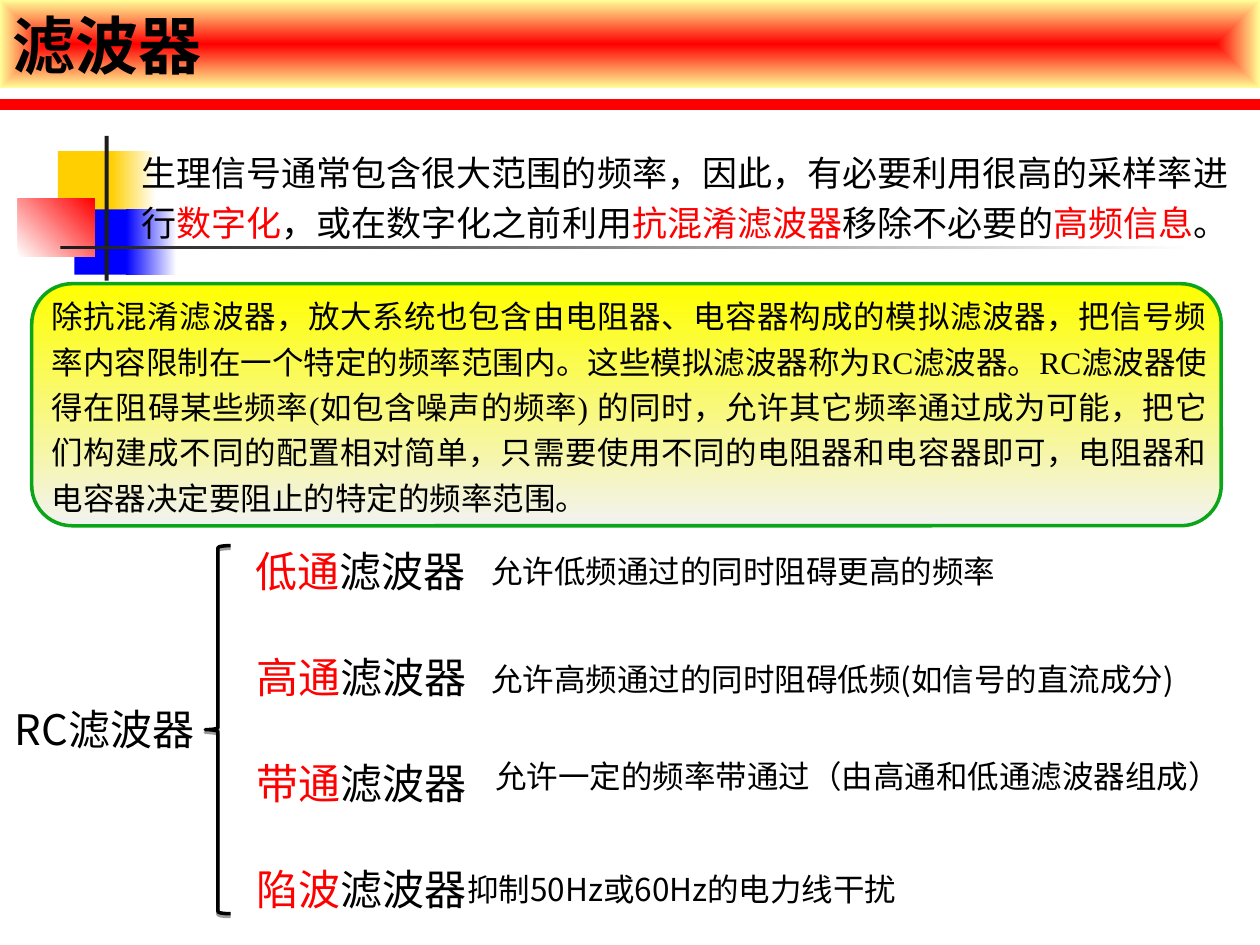
from lxml import etree
from pptx import Presentation
from pptx import util as u
from pptx.dml.color import RGBColor
from pptx.enum import shapes, text
from pptx.oxml import parse_xml
from pptx.oxml.ns import nsdecls, qn

THEME = {
    "black": "000000", "red": "FF0000", "white": "FFFFFF", "gold": "FFCF01",
    "blue": "0000FF", "ink": "1C1C1C", "green": "0BA51A", "yellow": "FFFF00",
    "gray": "F2F2F2", "cream": "FFFF99",
    "sans": "Noto Sans CJK SC", "serif": "Times New Roman",
    "title": 36, "name": 24, "intro": 20, "body": 18,
}
WIDTH, HEIGHT = 25.4, 19.05

ORNAMENTS = [
    ((1.17, 3.05, 1.22, 1.32), ["gold"], 0),
    ((2.24, 3.05, 0.91, 1.32), ["gold", "white"], 0),
    ((1.5, 4.22, 1.17, 1.32), ["blue"], 0),
    ((2.54, 4.22, 1.02, 1.32), ["blue", "white"], 0),
    ((0.36, 4.01, 1.55, 1.17), ["white", "red"], 315),
    ((2.11, 2.74, 0.08, 2.92), ["ink"], 0),
    ((1.22, 4.95, 22.86, 0.08), ["ink", "white"], 0),
]
TITLE = [("滤波器", "black")]
INTRO = [
    ("生理信号通常包含很大范围的频率，因此，有必要利用很高的采样率进行", "black"),
    ("数字化", "red"), ("，或在数字化之前利用", "black"),
    ("抗混淆滤波器", "red"), ("移除不必要的", "black"),
    ("高频信息", "red"), ("。", "black"),
]
BODY = [(
    "除抗混淆滤波器，放大系统也包含由电阻器、电容器构成的模拟滤波器，把信号频率内容限制在一个特定的频率范围内。"
    "这些模拟滤波器称为RC滤波器。RC滤波器使得在阻碍某些频率(如包含噪声的频率) 的同时，允许其它频率通过成为可能，"
    "把它们构建成不同的配置相对简单，只需要使用不同的电阻器和电容器即可，电阻器和电容器决定要阻止的特定的频率范围。",
    "black")]
ROOT = [("RC滤波器", "black")]
FILTERS = [
    ("低通", 4.9, "允许低频通过的同时阻碍更高的频率", (9.65, 11, 12.7, 1.02)),
    ("高通", 4.93, "允许高频通过的同时阻碍低频(如信号的直流成分)", (9.65, 13.18, 15.19, 1.02)),
    ("带通", 4.93, "允许一定的频率带通过（由高通和低通滤波器组成）", (9.73, 15.14, 15.11, 1.02)),
    ("陷波", 4.93, "抑制50Hz或60Hz的电力线干扰", (9.17, 17.42, 9.88, 1.02)),
]
NAME_TOP, NAME_STEP, NAME_WIDTH = 10.87, 2.14, 4.85


def color(name):
    """Return a theme colour."""
    return RGBColor.from_string(THEME[name])


def paint(shape, names, angle=0, centred=False):
    """Fill a shape with one colour or a two-colour gradient."""
    if len(names) == 1:
        shape.fill.solid()
        shape.fill.fore_color.rgb = color(names[0])
        return
    stops = "".join(
        f'<a:gs pos="{position}"><a:srgbClr val="{THEME[name]}"/></a:gs>'
        for position, name in zip((0, 100000), names))
    direction = f'<a:lin ang="{angle * 60000}" scaled="0"/>'
    if centred:
        direction = ('<a:path path="rect"><a:fillToRect l="50000" t="50000" '
                     'r="50000" b="50000"/></a:path>')
    properties = shape._element.spPr
    properties.find(qn("a:prstGeom")).addnext(parse_xml(
        f'<a:gradFill {nsdecls("a")} rotWithShape="1"><a:gsLst>{stops}</a:gsLst>'
        f'{direction}</a:gradFill>'))


def add_box(slide, kind, place, names, angle=0, centred=False):
    """Add a filled preset shape without line or shadow."""
    shape = slide.shapes.add_shape(kind, *map(u.Cm, place))
    shape.shadow.inherit = False
    shape.line.fill.background()
    paint(shape, names, angle, centred)
    return shape


def write(shape, runs, size, font="sans", bold=False, spacing=None,
          alignment=text.PP_ALIGN.LEFT, wrap=True):
    """Write coloured runs as the one paragraph of a shape."""
    frame = shape.text_frame
    frame.word_wrap = wrap
    paragraph = frame.paragraphs[0]
    paragraph.alignment = alignment
    paragraph.line_spacing = spacing
    paragraph.font.size = u.Pt(THEME[size])
    paragraph.font.name = THEME[font]
    paragraph.font.bold = bold
    defaults = paragraph._p.pPr.find(qn("a:defRPr"))
    etree.SubElement(defaults, qn("a:ea")).set("typeface", THEME["sans"])
    for words, shade in runs:
        run = paragraph.add_run()
        run.text = words
        run.font.color.rgb = color(shade)


def add_text(slide, place, *content, **style):
    """Add a text box."""
    write(slide.shapes.add_textbox(*map(u.Cm, place)), *content, **style)


def add_brace(slide):
    """Add the brace that joins the four filters."""
    brace = slide.shapes.add_shape(
        shapes.MSO_SHAPE.LEFT_BRACE, *map(u.Cm, (4.14, 11, 0.51, 7.42)))
    brace.adjustments[0] = 0.08
    brace.fill.background()
    brace.line.color.rgb = color("black")
    brace.line.width = u.Pt(2)
    brace.shadow.inherit = False
    effects = brace._element.spPr.find(qn("a:effectLst"))
    effects.append(parse_xml(
        f'<a:outerShdw {nsdecls("a")} blurRad="0" dist="{u.Pt(1.6)}" dir="5400000" '
        f'rotWithShape="0"><a:srgbClr val="{THEME["black"]}"><a:alpha val="38000"/>'
        '</a:srgbClr></a:outerShdw>'))


def main():
    """Build the slide about filters."""
    presentation = Presentation()
    presentation.slide_width, presentation.slide_height = u.Cm(WIDTH), u.Cm(HEIGHT)
    slide = presentation.slides.add_slide(presentation.slide_layouts[6])
    rectangle = shapes.MSO_SHAPE.RECTANGLE

    for place, names, angle in ORNAMENTS:
        add_box(slide, rectangle, place, names, angle)
    panel = add_box(slide, shapes.MSO_SHAPE.ROUNDED_RECTANGLE,
                    (0.64, 5.72, 23.98, 4.88), ["yellow", "gray"], 90)
    panel.line.color.rgb = color("green")
    panel.line.width = u.Pt(2)

    banner = add_box(slide, rectangle, (0, 0, WIDTH, 1.78), ["red", "cream"], centred=True)
    banner.text_frame.vertical_anchor = text.MSO_ANCHOR.MIDDLE
    write(banner, TITLE, "title", "serif", bold=True)
    rule = slide.shapes.add_connector(
        shapes.MSO_CONNECTOR.STRAIGHT, *map(u.Cm, (0, 2.11, WIDTH, 2.11)))
    rule.line.color.rgb = color("red")
    rule.line.width = u.Pt(6)
    etree.SubElement(rule._element.spPr, qn("a:effectLst"))

    add_text(slide, (2.6, 2.76, 22.86, 3.05), INTRO, "intro", spacing=1.2)
    add_text(slide, (0.79, 5.72, 23.8, 4.83), BODY, "body", "serif", spacing=1.2,
             alignment=text.PP_ALIGN.JUSTIFY)
    add_text(slide, (0.05, 14.05, 4.27, 1.27), ROOT, "name")
    add_brace(slide)
    for index, (name, left, description, place) in enumerate(FILTERS):
        add_text(slide, (left, NAME_TOP + index * NAME_STEP, NAME_WIDTH, 1.27),
                 [(name, "red"), ("滤波器", "black")], "name")
        add_text(slide, place, [(description, "black")], "body", wrap=False)
    presentation.save("out.pptx")


if __name__ == "__main__":
    main()
